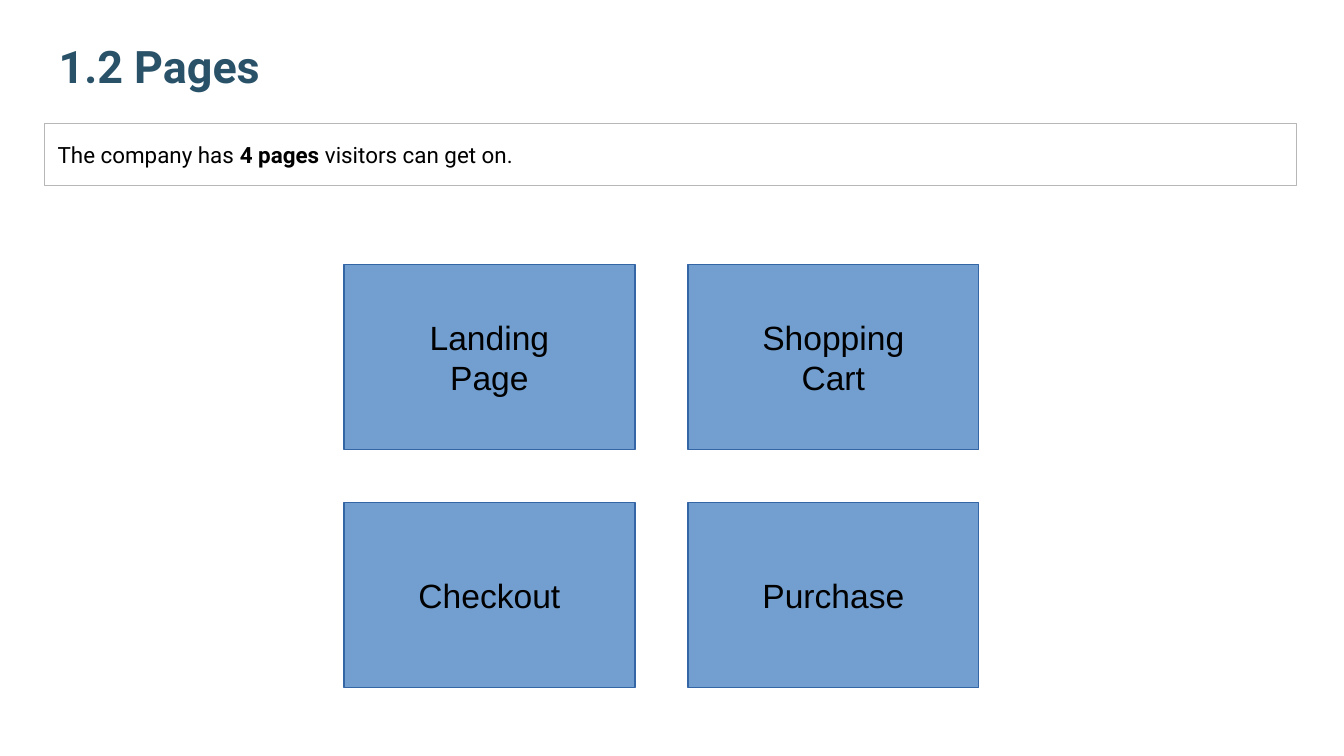
from pptx import Presentation
from pptx.dml.color import RGBColor
from pptx.enum.shapes import MSO_SHAPE
from pptx.enum.text import MSO_ANCHOR, PP_ALIGN
from pptx.util import Cm, Pt


def paint(color_format, code):
    """Set a colour from a hex string."""
    color_format.rgb = RGBColor.from_string(code)


def set_frame(shape, anchor, inset):
    """Set wrapping, anchor and vertical inset of a shape's text."""
    frame = shape.text_frame
    frame.word_wrap = True
    frame.vertical_anchor = anchor
    frame.margin_left = frame.margin_right = Cm(0.25)
    frame.margin_top = frame.margin_bottom = Cm(inset)
    return frame


def add_span(para, text, font, size, color="000000", bold=False):
    """Append one formatted run to a paragraph."""
    span = para.add_run()
    span.text = text
    span.font.name = font
    span.font.size = Pt(size)
    span.font.bold = bold
    paint(span.font.color, color)


def add_rectangle(page, box, line, width, fill=None):
    """Add an outlined rectangle, filled when a colour is given."""
    shape = page.shapes.add_shape(MSO_SHAPE.RECTANGLE, *map(Cm, box))
    shape.shadow.inherit = False
    if fill:
        shape.fill.solid()
        paint(shape.fill.fore_color, fill)
    else:
        shape.fill.background()
    paint(shape.line.color, line)
    shape.line.width = Pt(width)
    return shape


def add_title(page, box, text):
    """Add the slide heading at the bottom of its box."""
    title = page.shapes.add_textbox(*map(Cm, box))
    frame = set_frame(title, MSO_ANCHOR.BOTTOM, 0.25)
    add_span(frame.paragraphs[0], text, "Roboto", 24, "295269", True)


def add_statement(page, box, spans):
    """Add the framed sentence from pairs of text and boldness."""
    shape = add_rectangle(page, box, "B7B7B7", 0.75)
    para = set_frame(shape, MSO_ANCHOR.TOP, 0.25).paragraphs[0]
    para.alignment = PP_ALIGN.LEFT
    para.line_spacing = 1.15
    for text, bold in spans:
        add_span(para, text, "Roboto", 12, bold=bold)


def add_card(page, box, lines):
    """Add one blue card with a centred paragraph for each line."""
    shape = add_rectangle(page, box, "3465A4", 0, "729FCF")
    frame = set_frame(shape, MSO_ANCHOR.MIDDLE, 0.13)
    for index, text in enumerate(lines):
        para = frame.add_paragraph() if index else frame.paragraphs[0]
        para.alignment = PP_ALIGN.CENTER
        add_span(para, text, "Arial", 18)


def add_card_grid(page, box, rows, gap=1):
    """Fill a box with equal cards set apart by one gap."""
    left, top, width, height = box
    card_height = (height - gap * (len(rows) - 1)) / len(rows)
    for row, cards in enumerate(rows):
        card_width = (width - gap * (len(cards) - 1)) / len(cards)
        for column, lines in enumerate(cards):
            add_card(page, (left + column * (card_width + gap),
                            top + row * (card_height + gap),
                            card_width, card_height), lines)


deck = Presentation()
deck.slide_width, deck.slide_height = Cm(25.4), Cm(14.29)
page = deck.slides.add_slide(deck.slide_layouts[6])
add_title(page, (0.86, 0.81, 23.67, 1.19), "1.2 Pages")
add_statement(page, (0.84, 2.34, 23.67, 1.17), [
    ("The company has ", False),
    ("4 pages ", True),
    ("visitors can get on.", False),
])
add_card_grid(page, (6.5, 5, 12, 8), [
    [["Landing", "Page"], ["Shopping", "Cart"]],
    [["Checkout"], ["Purchase"]],
])
deck.save("out.pptx")
